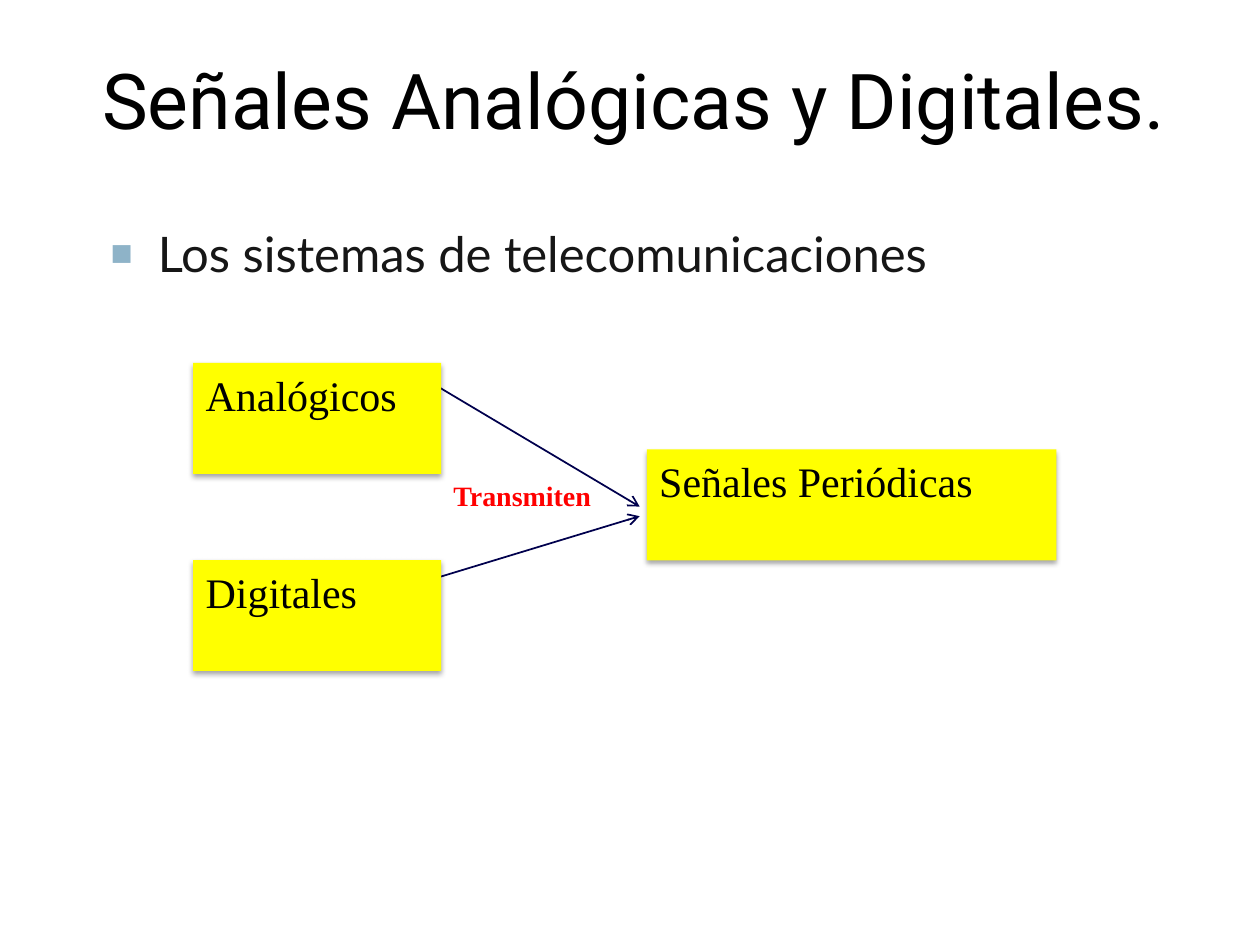
import lxml.etree
import pptx
import pptx.dml.color
import pptx.enum.shapes
import pptx.enum.text
import pptx.oxml.ns
import pptx.util

Pt = pptx.util.Pt
SERIF = "Times New Roman"


def add_element(parent, tag, **attributes):
    """Append a drawing element to parent and return it."""
    element = lxml.etree.SubElement(parent, pptx.oxml.ns.qn(tag))
    for key, value in attributes.items():
        element.set(key, str(value))
    return element


def color(hex_value):
    """Turn a hex string into a colour."""
    return pptx.dml.color.RGBColor.from_string(hex_value)


def place(element, left, top, width, height):
    """Set position and size in points."""
    element.left, element.top = Pt(left), Pt(top)
    element.width, element.height = Pt(width), Pt(height)


def write(frame, text, size, font, hex_value, bold=False):
    """Write one formatted run in the first paragraph and return the paragraph."""
    frame.auto_size = pptx.enum.text.MSO_AUTO_SIZE.NONE
    frame.word_wrap = True
    paragraph = frame.paragraphs[0]
    run = paragraph.add_run()
    run.text = text
    run.font.size = Pt(size)
    run.font.name = font
    run.font.bold = bold
    run.font.color.rgb = color(hex_value)
    return paragraph


def add_title(slide, text):
    """Fill the centred title."""
    title = slide.shapes.title
    place(title, 50.4, 14.4, 624, 84)
    title.text_frame.vertical_anchor = pptx.enum.text.MSO_ANCHOR.MIDDLE
    heading = write(title.text_frame, text, 44, "Roboto", "000000")
    heading.alignment = pptx.enum.text.PP_ALIGN.CENTER


def add_bullet(slide, text):
    """Fill the body with one square-bulleted item."""
    body = slide.placeholders[1]
    place(body, 56, 124, 624, 360)
    item = write(body.text_frame, text, 28, "Lato", "161616")
    item.space_before = Pt(0)
    properties = item._p.get_or_add_pPr()
    properties.set("marL", str(Pt(27)))
    properties.set("indent", str(Pt(-27)))
    bullet_color = add_element(properties, "a:buClr")
    add_element(bullet_color, "a:srgbClr", val="8EB3C8")
    add_element(properties, "a:buSzPct", val=75000)
    add_element(properties, "a:buChar", char="■")


def add_signal_box(slide, text, left, top, width):
    """Add a yellow box with a soft shadow below it."""
    box = slide.shapes.add_shape(
        pptx.enum.shapes.MSO_SHAPE.RECTANGLE, Pt(left), Pt(top), Pt(width), Pt(63.4))
    box.fill.solid()
    box.fill.fore_color.rgb = color("FFFF00")
    box.line.fill.background()
    box.shadow.inherit = False
    effects = box._element.spPr.find(pptx.oxml.ns.qn("a:effectLst"))
    shadow = add_element(effects, "a:outerShdw", blurRad=Pt(3.1), dist=Pt(1.8),
                         dir=5400000, rotWithShape=0)
    shade = add_element(shadow, "a:srgbClr", val="000000")
    add_element(shade, "a:alpha", val=35000)
    box.text_frame.vertical_anchor = pptx.enum.text.MSO_ANCHOR.TOP
    label = write(box.text_frame, text, 24, SERIF, "000000")
    label.alignment = pptx.enum.text.PP_ALIGN.LEFT


def add_arrow(slide, start, end):
    """Add a thin navy arrow from start to end."""
    arrow = slide.shapes.add_connector(
        pptx.enum.shapes.MSO_CONNECTOR.STRAIGHT, *map(Pt, start + end))
    arrow.line.color.rgb = color("00004D")
    arrow.line.width = Pt(1)
    add_element(arrow.line._get_or_add_ln(), "a:tailEnd", type="arrow")
    add_element(arrow._element.spPr, "a:effectLst")


def add_caption(slide, text):
    """Add the red caption between the arrows."""
    caption = slide.shapes.add_textbox(Pt(252), Pt(270), Pt(102), Pt(26.6))
    write(caption.text_frame, text, 16, SERIF, "FF0000", bold=True)


def main():
    """Build and save the slide."""
    deck = pptx.Presentation()
    deck.slide_width, deck.slide_height = Pt(720), Pt(540)
    slide = deck.slides.add_slide(deck.slide_layouts[1])
    add_title(slide, "Señales Analógicas y Digitales.")
    add_bullet(slide, "Los sistemas de telecomunicaciones")
    add_arrow(slide, (247, 219), (365.5, 289.5))
    add_arrow(slide, (247, 331), (365.5, 295))
    for text, left, top, width in (
        ("Analógicos", 110.4, 207.4, 141.8),
        ("Digitales", 110.4, 320, 141.8),
        ("Señales Periódicas", 369.6, 256.8, 234),
    ):
        add_signal_box(slide, text, left, top, width)
    add_caption(slide, "Transmiten")
    deck.save("out.pptx")


if __name__ == "__main__":
    main()
